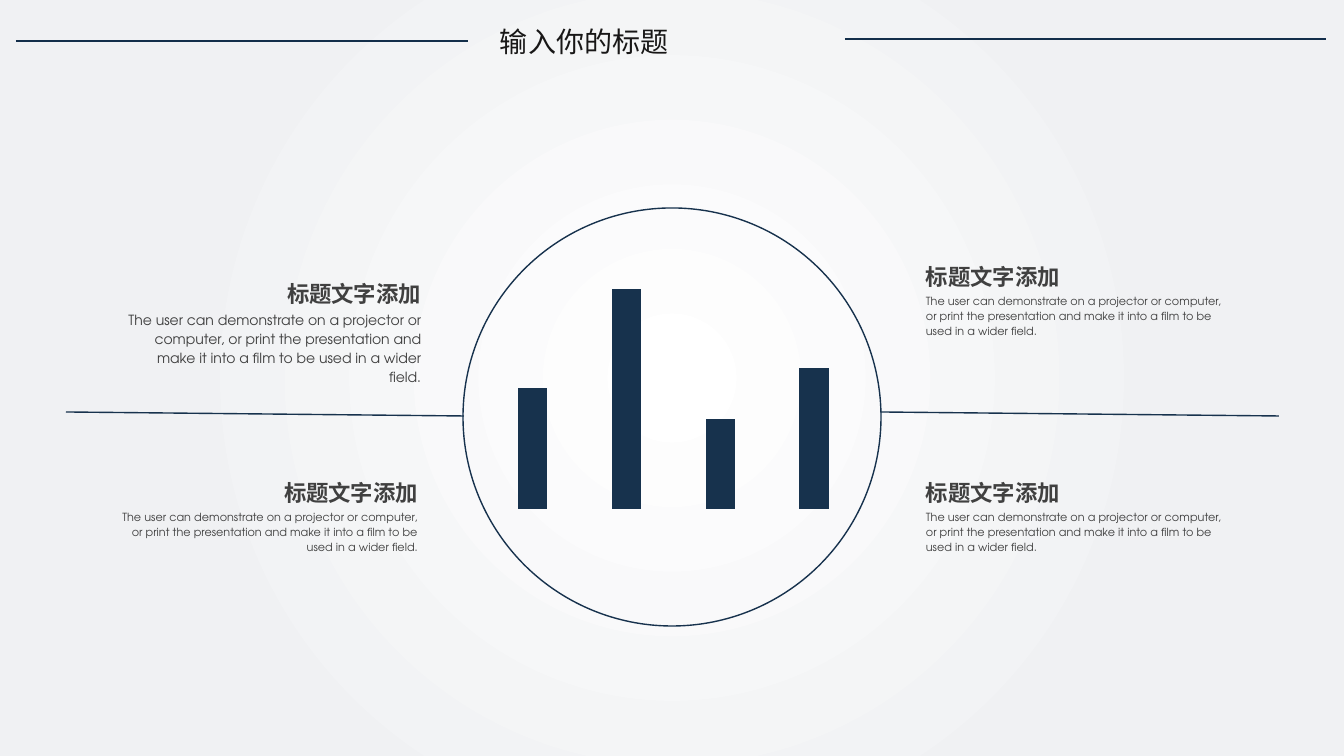
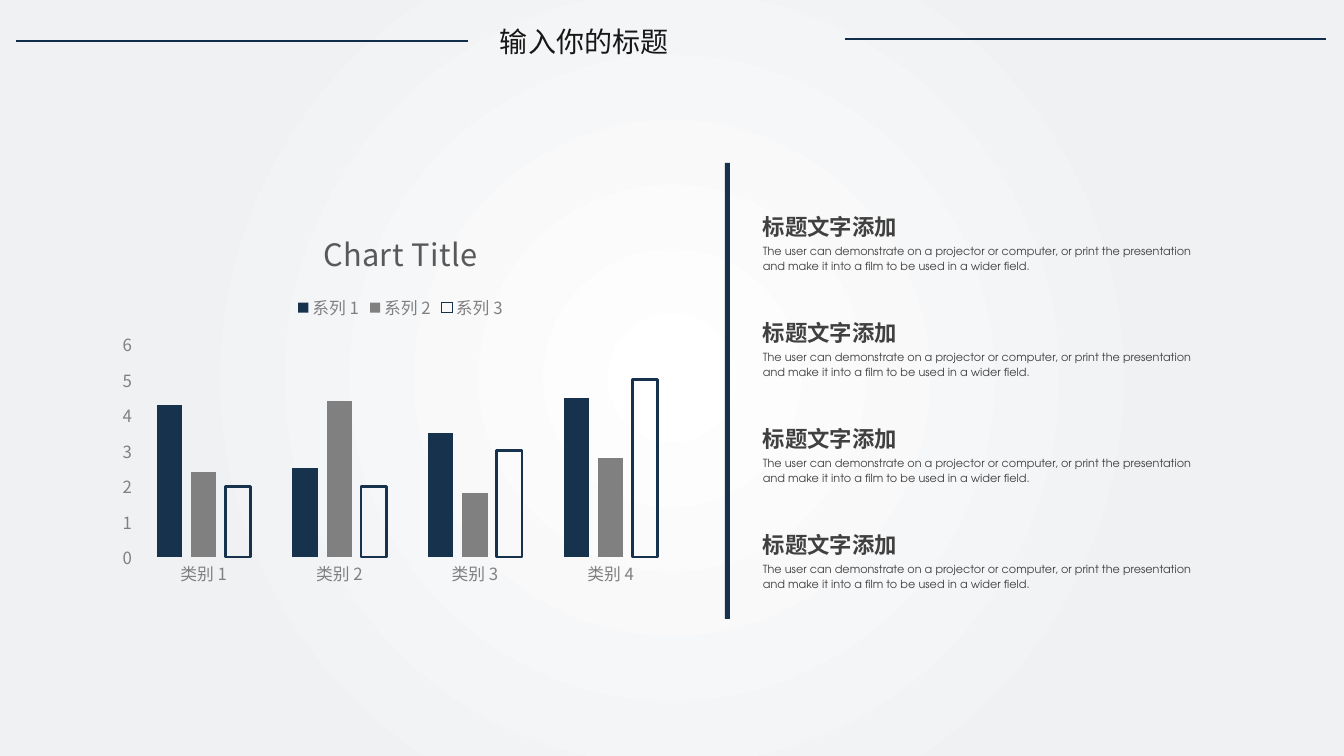
import pptx
import pptx.chart.data
import pptx.dml.color
import pptx.enum.chart
import pptx.enum.shapes
import pptx.enum.text
import pptx.oxml.ns
import pptx.util
from lxml import etree

qn = pptx.oxml.ns.qn
Pt = pptx.util.Pt
ALIGN = pptx.enum.text.PP_ALIGN
SHAPE = pptx.enum.shapes.MSO_SHAPE
XL = pptx.enum.chart

NAVY, DARK_NAVY, INK = "17324D", "132E4A", "181717"
TEXT, GREY, CHART_TITLE = "404040", "808080", "595959"
CJK, LATIN = "Noto Sans CJK SC", "TeX Gyre Adventor"
TITLE = "输入你的标题"
HEADING = "标题文字添加"
BODY = ("The user can demonstrate on a projector or computer, or print the "
        "presentation and make it into a film to be used in a wider field.")


def px(n):
    return pptx.util.Emu(round(n * 914400 / 100.8))


def rgb(color):
    return pptx.dml.color.RGBColor.from_string(color)


class Deck:
    """Holds the shared style and the current slide."""

    def __init__(self):
        self.prs = pptx.Presentation()
        self.prs.slide_width, self.prs.slide_height = px(1344), px(756)
        self.slide = None
        self.background()

    def background(self):
        master = self.prs.slide_master
        fill = master.background.fill
        fill.gradient()
        stops = zip(fill.gradient_stops, ((0, "FFFFFF"), (0.67, "F0F1F3")))
        for stop, (position, color) in stops:
            stop.position = position
            stop.color.rgb = rgb(color)
        grad = master.element.find(".//" + qn("p:bgPr")).find(qn("a:gradFill"))
        grad.remove(grad.find(qn("a:lin")))
        radial = etree.SubElement(grad, qn("a:path"), path="circle")
        etree.SubElement(radial, qn("a:fillToRect"),
                         l="50000", t="50000", r="50000", b="50000")

    def font(self, font, size, color, name=CJK, bold=False):
        font.size, font.name, font.bold = Pt(size), name, bold
        font.color.rgb = rgb(color)

    def east_asian(self, element):
        for latin in list(element.iter(qn("a:latin"))):
            ea = etree.Element(qn("a:ea"), typeface=latin.get("typeface"))
            latin.addnext(ea)

    def new_slide(self, title):
        self.slide = self.prs.slides.add_slide(self.prs.slide_layouts[5])
        sp = self.slide.shapes.title
        sp.left, sp.top, sp.width, sp.height = px(500), px(24), px(303), px(34)
        tf = sp.text_frame
        tf.text = title
        tf.auto_size = pptx.enum.text.MSO_AUTO_SIZE.NONE
        tf.vertical_anchor = pptx.enum.text.MSO_ANCHOR.MIDDLE
        tf.margin_left = tf.margin_right = tf.margin_top = tf.margin_bottom = 0
        p = tf.paragraphs[0]
        p.alignment = ALIGN.JUSTIFY
        self.font(p.runs[0].font, 20, INK)
        self.east_asian(sp.element)
        self.line(16, 41, 468, 41, DARK_NAVY)
        self.line(845, 39, 1326, 39, DARK_NAVY)

    def line(self, x1, y1, x2, y2, color=NAVY):
        cn = self.slide.shapes.add_connector(
            pptx.enum.shapes.MSO_CONNECTOR.STRAIGHT,
            px(x1), px(y1), px(x2), px(y2))
        cn.line.color.rgb = rgb(color)
        cn.line.width = Pt(1)
        etree.SubElement(cn.element.spPr, qn("a:effectLst"))

    def shape(self, kind, x, y, w, h, fill=None, line=None):
        sp = self.slide.shapes.add_shape(kind, px(x), px(y), px(w), px(h))
        sp.shadow.inherit = False
        if fill:
            sp.fill.solid()
            sp.fill.fore_color.rgb = rgb(fill)
        else:
            sp.fill.background()
        if line:
            sp.line.color.rgb = rgb(line)
            sp.line.width = Pt(1)
        else:
            sp.line.fill.background()

    def text(self, text, x, y, w, h, size, name, bold, spacing, align):
        sp = self.slide.shapes.add_textbox(px(x), px(y), px(w), px(h))
        tf = sp.text_frame
        tf.word_wrap = True
        tf.text = text
        p = tf.paragraphs[0]
        p.alignment, p.line_spacing = align, spacing
        self.font(p.runs[0].font, size, TEXT, name, bold)
        self.east_asian(sp.element)

    def block(self, x, y, width, size=8, align=ALIGN.LEFT):
        """Place a heading over its body; x is the edge that they share."""
        rows = ((HEADING, y, 247, 42, 16, CJK, True, 1.2),
                (BODY, y + 34, width, 56, size, LATIN, False, 1.14))
        for text, top, w, *style in rows:
            left = x - w if align == ALIGN.RIGHT else x
            self.text(text, left, top, w, *style, align)

    def chart(self, x, y, w, h, cats, series, gap, overlap, top):
        data = pptx.chart.data.CategoryChartData()
        data.categories = cats
        for name, values, fill, line in series:
            data.add_series(name, values)
        chart = self.slide.shapes.add_chart(
            XL.XL_CHART_TYPE.COLUMN_CLUSTERED,
            px(x), px(y), px(w), px(h), data).chart
        self.font(chart.font, 12, GREY)
        chart.has_title = chart.has_legend = False
        plot = chart.plots[0]
        plot.gap_width, plot.overlap = gap, overlap
        plot.vary_by_categories = False
        for ser, (name, values, fill, line) in zip(plot.series, series):
            ser.invert_if_negative = False
            if fill:
                ser.format.fill.solid()
                ser.format.fill.fore_color.rgb = rgb(fill)
            else:
                ser.format.fill.background()
            if line:
                ser.format.line.color.rgb = rgb(line)
                ser.format.line.width = Pt(2)
        for axis in (chart.category_axis, chart.value_axis):
            axis.has_major_gridlines = False
            axis.major_tick_mark = XL.XL_TICK_MARK.NONE
            axis.format.line.fill.background()
        chart.value_axis.minimum_scale = 0
        chart.value_axis.maximum_scale = top
        return chart

    def bare(self, chart):
        chart.category_axis.visible = chart.value_axis.visible = False

    def labelled(self, chart, title):
        chart.value_axis.major_unit = 1
        chart.has_title = True
        tf = chart.chart_title.text_frame
        tf.text = title
        r = tf.paragraphs[0].runs[0]
        self.font(r.font, 22, CHART_TITLE)
        r.font._element.set("spc", "40")
        chart.chart_title.include_in_layout = False
        chart.has_legend = True
        chart.legend.position = XL.XL_LEGEND_POSITION.TOP
        chart.legend.include_in_layout = False
        for part in (chart.legend, chart.category_axis.tick_labels,
                     chart.value_axis.tick_labels):
            self.font(part.font, 12, GREY)
        self.east_asian(chart.element)


def main():
    deck = Deck()

    deck.new_slide(TITLE)
    deck.shape(SHAPE.OVAL, 463, 208, 418, 418, line=NAVY)
    deck.block(916, 253, 318)
    deck.block(916, 469, 318)
    deck.block(431, 270, 318, 10, ALIGN.RIGHT)
    deck.block(428, 469, 318, 8, ALIGN.RIGHT)
    for left in (66, 881):
        deck.line(left + 398, 416, left, 412)
    deck.bare(deck.chart(
        478, 254, 391, 260, ["1", "2", "3", "4"],
        [("Series 1", (55, 100, 41, 64), NAVY, None)], 219, -27, 113.6))

    deck.new_slide(TITLE)
    for i in range(4):
        deck.block(753, 203 + 106 * i, 466)
    deck.labelled(deck.chart(
        111, 208, 579, 386, [f"类别 {i}" for i in range(1, 5)],
        [("系列 1", (4.3, 2.5, 3.5, 4.5), NAVY, None),
         ("系列 2", (2.4, 4.4, 1.8, 2.8), GREY, None),
         ("系列 3", (2, 2, 3, 5), None, NAVY)], 164, -35, 6), "Chart Title")
    deck.shape(SHAPE.RECTANGLE, 725, 163, 5, 456, fill=NAVY)

    deck.prs.save("out.pptx")


if __name__ == "__main__":
    main()
